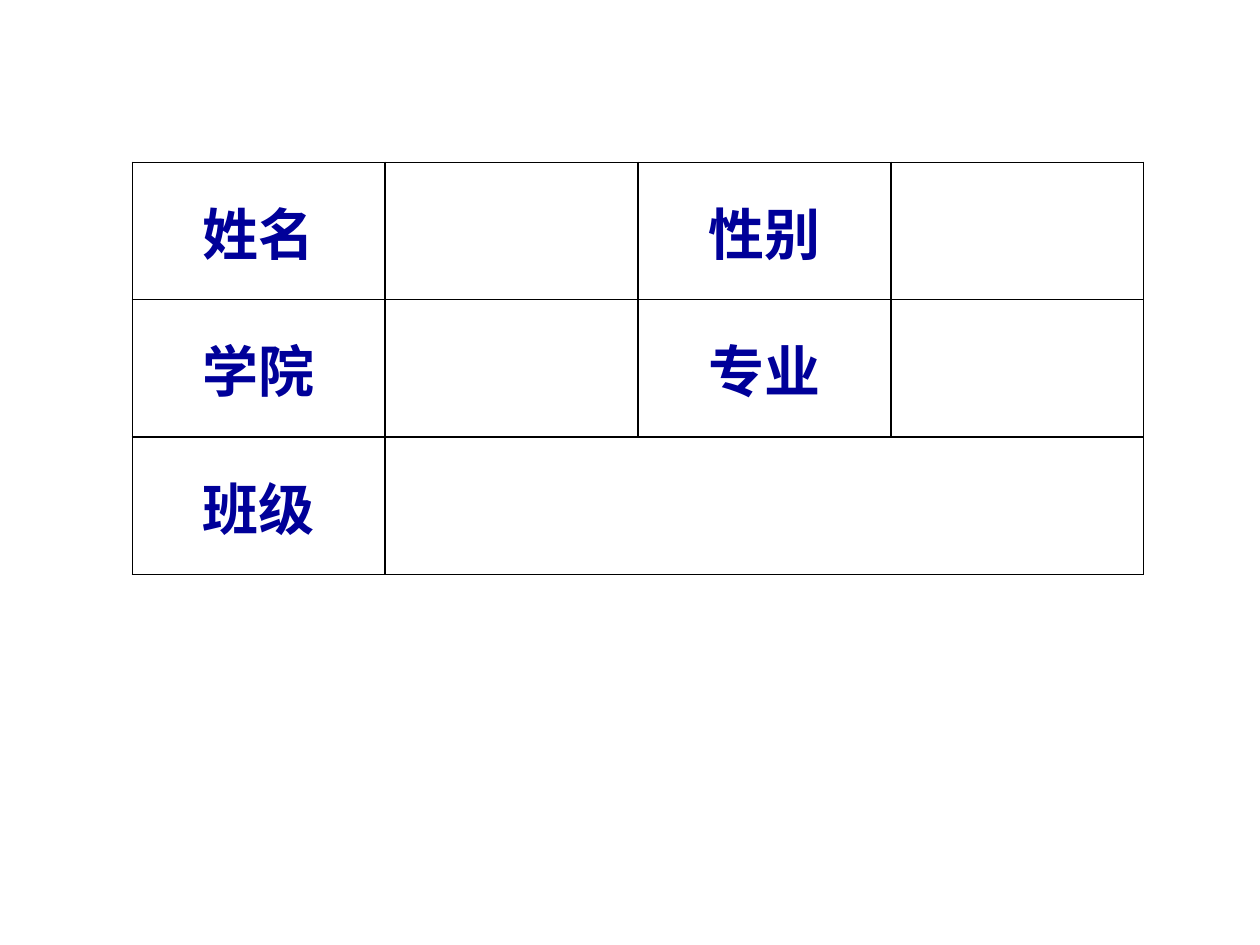
from lxml import etree
from pptx import Presentation
from pptx.dml.color import RGBColor
from pptx.enum import text
from pptx.oxml import ns
from pptx.util import Pt

ROWS = [
    ("姓名", "", "性别", ""),
    ("学院", "", "专业", ""),
    ("班级", "", "", ""),
]
FONT = "Noto Sans CJK SC"
NAVY = RGBColor(0x00, 0x00, 0x99)
WHITE = RGBColor(0xFF, 0xFF, 0xFF)
BLACK = RGBColor(0x00, 0x00, 0x00)
LEFT, TOP = 75.6, 92.75
COL_W, ROW_H = 144.5, 78.5


def add_borders(cell):
    props = cell._tc.get_or_add_tcPr()
    for i, side in enumerate(("lnL", "lnR", "lnT", "lnB")):
        line = etree.Element(ns.qn(f"a:{side}"), w=str(Pt(1)))
        fill = etree.SubElement(line, ns.qn("a:solidFill"))
        etree.SubElement(fill, ns.qn("a:srgbClr"), val=str(BLACK))
        props.insert(i, line)


def fill_cell(cell, label):
    cell.fill.solid()
    cell.fill.fore_color.rgb = WHITE
    add_borders(cell)
    cell.vertical_anchor = text.MSO_ANCHOR.MIDDLE
    if not label:
        return
    cell.text_frame.text = label
    par = cell.text_frame.paragraphs[0]
    par.alignment = text.PP_ALIGN.CENTER
    run = par.runs[0]
    font = run.font
    font.name, font.size, font.bold = FONT, Pt(32), True
    font.color.rgb = NAVY
    etree.SubElement(run._r.get_or_add_rPr(), ns.qn("a:ea"), typeface=FONT)


def main():
    prs = Presentation()
    prs.slide_width, prs.slide_height = Pt(720), Pt(540)
    slide = prs.slides.add_slide(prs.slide_layouts[6])
    rows, cols = len(ROWS), len(ROWS[0])
    table = slide.shapes.add_table(
        rows, cols, Pt(LEFT), Pt(TOP), Pt(COL_W * cols), Pt(ROW_H * rows)
    ).table
    table.first_row = table.horz_banding = False
    for col in table.columns:
        col.width = Pt(COL_W)
    for r, labels in enumerate(ROWS):
        table.rows[r].height = Pt(ROW_H)
        for c, label in enumerate(labels):
            fill_cell(table.cell(r, c), label)
    table.cell(rows - 1, 1).merge(table.cell(rows - 1, cols - 1))
    prs.save("out.pptx")


if __name__ == "__main__":
    main()
